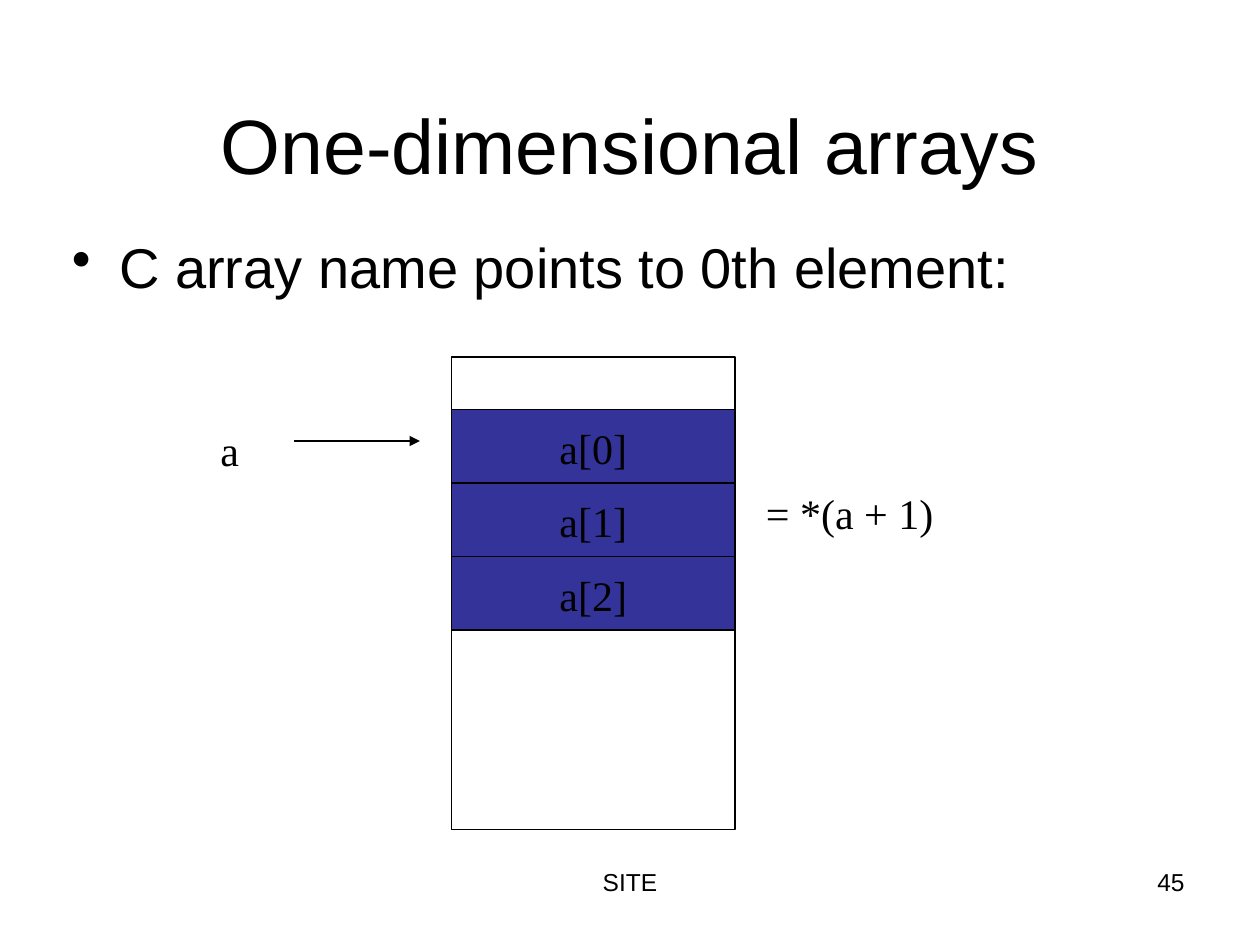
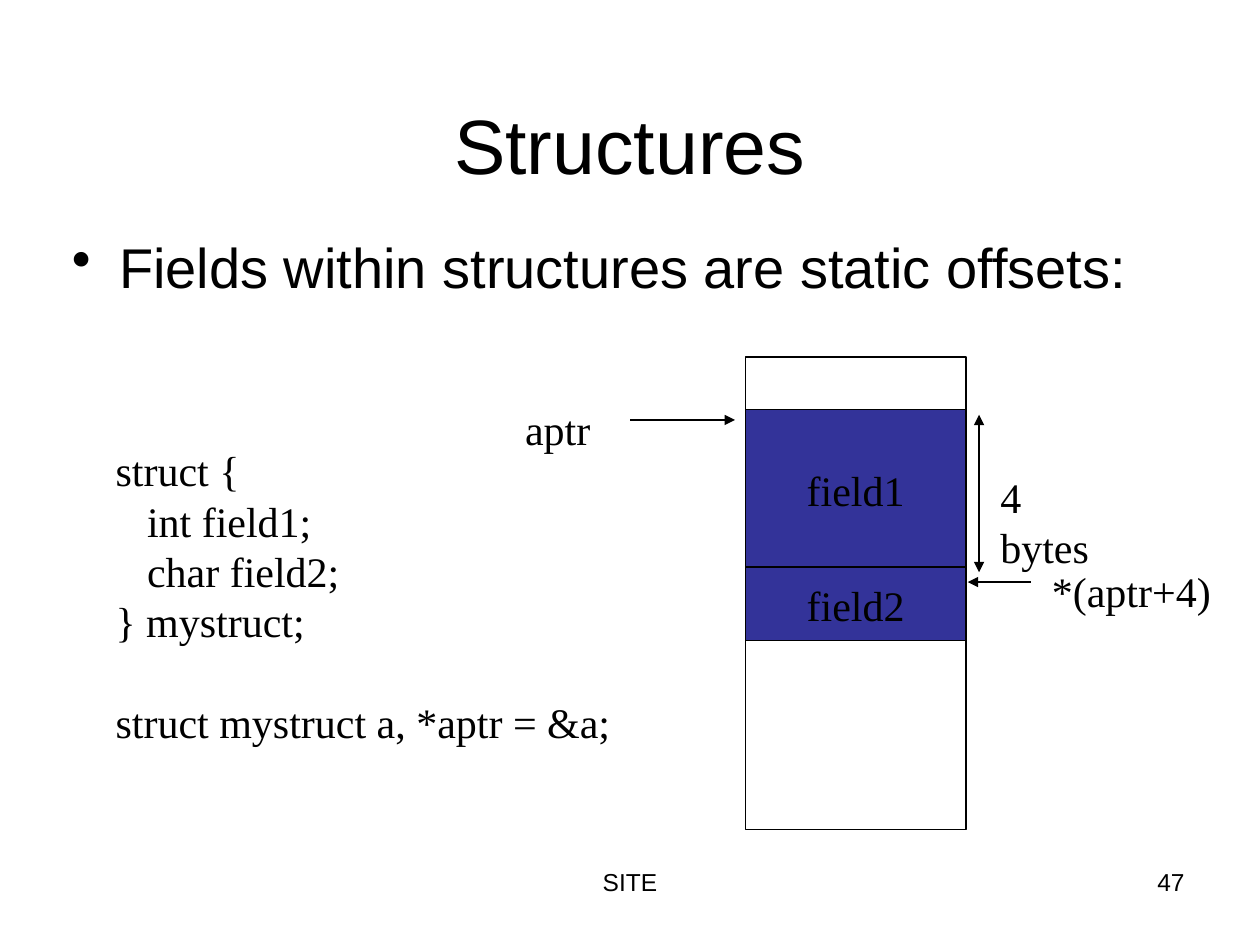
import pptx
import pptx.util
import pptx.dml.color
import pptx.enum.shapes
import pptx.enum.text
import pptx.oxml.ns
from lxml import etree

Pt = pptx.util.Pt
ALIGN = pptx.enum.text.PP_ALIGN
ANCHOR = pptx.enum.text.MSO_ANCHOR
COLORS = {"ink": "000000", "cell": "333399"}
HEADING_FONT = "Arial"
CODE_FONT = "Times New Roman"
CODE_PITCH = 28.8
HEADING_INSETS = (5.1, 6.8, 5.1, 2.9)
CODE_INSETS = (7.2, 5, 7.2, 3.6)
FOOTER_INSETS = (7.2, 3.6, 7.2, 3.6)
MEMORY_TOP, MEMORY_HEIGHT, FIRST_CELL_TOP = 204, 270, 234
CELL_HEIGHT = 42


def color(name):
    return pptx.dml.color.RGBColor.from_string(COLORS[name])


def add_xml(parent, tag, **attributes):
    return etree.SubElement(parent, pptx.oxml.ns.qn(tag), attributes)


def write(frame, text, size=24, font=CODE_FONT, align=ALIGN.LEFT, anchor=ANCHOR.TOP,
          insets=CODE_INSETS, wrap=False, pitch=None, bullet=False):
    frame.word_wrap = wrap
    frame.vertical_anchor = anchor
    frame.margin_left, frame.margin_top, frame.margin_right, frame.margin_bottom = map(Pt, insets)
    gap = 0
    for position, line in enumerate(text.split("\n")):
        if not line:
            gap += pitch
            continue
        paragraph = frame.add_paragraph() if position else frame.paragraphs[0]
        paragraph.alignment = align
        if pitch:
            paragraph.line_spacing = Pt(pitch)
        if gap:
            paragraph.space_before = Pt(gap)
            gap = 0
        if bullet:
            properties = paragraph._p.get_or_add_pPr()
            properties.set("marL", str(Pt(27)))
            properties.set("indent", str(-Pt(27)))
            add_xml(properties, "a:buChar", char="•")
        run = paragraph.add_run()
        run.text = line
        run.font.size = Pt(size)
        run.font.name = font
        run.font.color.rgb = color("ink")


class Deck:
    def __init__(self):
        self.presentation = pptx.Presentation()
        self.presentation.slide_width = Pt(720)
        self.presentation.slide_height = Pt(540)
        self.slide = None

    def start(self, title, point, number):
        self.slide = self.presentation.slides.add_slide(self.presentation.slide_layouts[6])
        footer = dict(size=14, font=HEADING_FONT, insets=FOOTER_INSETS, wrap=True)
        heading = dict(font=HEADING_FONT, insets=HEADING_INSETS, wrap=True)
        self.text("SITE", 246, 492, 228, 37.5, align=ALIGN.CENTER, **footer)
        self.text(number, 516, 492, 168, 37.5, align=ALIGN.RIGHT, **footer)
        self.text(title, 36, 21.6, 648, 90, size=44, align=ALIGN.CENTER,
                  anchor=ANCHOR.BOTTOM, **heading)
        self.text(point, 36, 126, 648, 54, size=32, bullet=True, **heading)

    def text(self, text, left, top, width, height, **style):
        box = self.slide.shapes.add_textbox(Pt(left), Pt(top), Pt(width), Pt(height))
        write(box.text_frame, text, **style)

    def code(self, text, left, top, width, height=36):
        self.text(text, left, top, width, height, pitch=CODE_PITCH)

    def rectangle(self, left, top, width, height, fill=None):
        shape = self.slide.shapes.add_shape(
            pptx.enum.shapes.MSO_SHAPE.RECTANGLE, Pt(left), Pt(top), Pt(width), Pt(height))
        shape.shadow.inherit = False
        if fill:
            shape.fill.solid()
            shape.fill.fore_color.rgb = color(fill)
        else:
            shape.fill.background()
        shape.line.color.rgb = color("ink")
        shape.line.width = Pt(0.75)
        return shape

    def memory(self, left, width, cells):
        top = FIRST_CELL_TOP
        for label, height in cells:
            cell = self.rectangle(left, top, width, height, "cell")
            write(cell.text_frame, label, align=ALIGN.CENTER, anchor=ANCHOR.MIDDLE,
                  pitch=CODE_PITCH)
            top += height
        self.rectangle(left, MEMORY_TOP, width, MEMORY_HEIGHT)

    def arrow(self, x1, y1, x2, y2, both_ends=False):
        line = self.slide.shapes.add_connector(
            pptx.enum.shapes.MSO_CONNECTOR.STRAIGHT, Pt(x1), Pt(y1), Pt(x2), Pt(y2))
        line.line.color.rgb = color("ink")
        line.line.width = Pt(0.75)
        outline = line.line._get_or_add_ln()
        if both_ends:
            add_xml(outline, "a:headEnd", type="triangle")
        add_xml(outline, "a:tailEnd", type="triangle")
        add_xml(line._element.spPr, "a:effectLst")


def arrays_slide(deck):
    deck.start("One-dimensional arrays", "C array name points to 0th element:", "45")
    deck.memory(258, 162, [(f"a[{index}]", CELL_HEIGHT) for index in range(3)])
    deck.arrow(168, 252, 240, 252)
    deck.code("a", 118.8, 237.6, 25)
    deck.code("= *(a + 1)", 430.6, 273.6, 110)


def structures_slide(deck):
    deck.start("Structures", "Fields within structures are static offsets:", "47")
    deck.memory(426, 126, [("field1", 90), ("field2", CELL_HEIGHT)])
    deck.arrow(360, 240, 420, 240)
    deck.code("aptr", 293, 225.4, 52)
    declaration = """struct {
   int field1;
   char field2;
} mystruct;

struct mystruct a, *aptr = &a;"""
    deck.code(declaration, 59, 249.1, 297.4, 209)
    deck.arrow(559.5, 237, 559.5, 327, both_ends=True)
    deck.code("4 bytes", 564.5, 264.2, 82.8)
    deck.arrow(589, 332.6, 553, 332.6)
    deck.code("*(aptr+4)", 594, 318.2, 105)


def main():
    deck = Deck()
    arrays_slide(deck)
    structures_slide(deck)
    deck.presentation.save("out.pptx")


if __name__ == "__main__":
    main()
